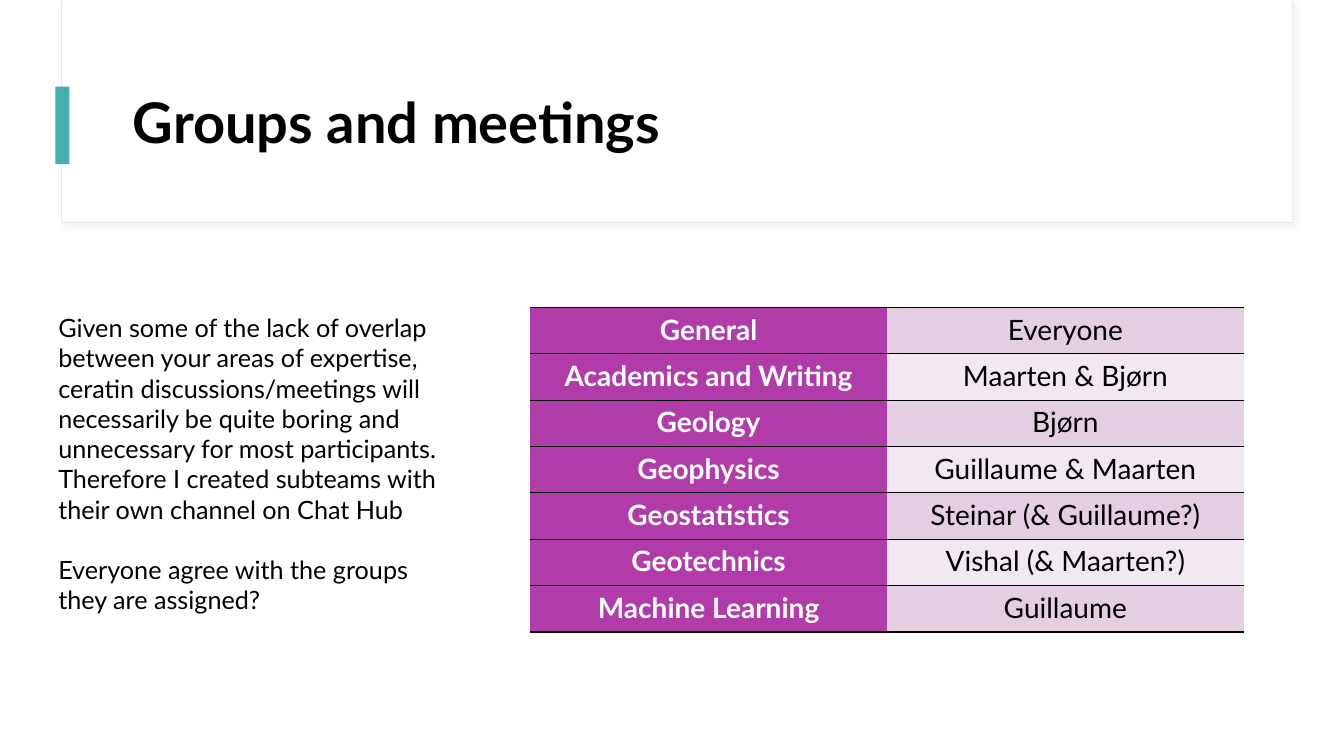
"""Build the slide on groups and meetings."""

from dataclasses import dataclass

import lxml.etree
import pptx
import pptx.dml.color
import pptx.enum.shapes
import pptx.enum.text
import pptx.oxml
import pptx.oxml.ns
import pptx.shapes.autoshape
import pptx.slide
import pptx.table
import pptx.text.text
import pptx.util

FONT = "Lato"
COLOURS = {
    "white": "FFFFFF",
    "black": "000000",
    "outline": "E3E7EF",
    "shadow": "D9D9D9",
    "teal": "45AFAE",
    "purple": "B13BA9",
    "band_dark": "E4CEE2",
    "band_light": "F2E8F1",
}
ROW_HEIGHT = 33.12
COLUMN_WIDTH = 254.88
BODY_SIZE = 18


@dataclass(frozen=True)
class Frame:
    left: float
    top: float
    width: float
    height: float

    def lengths(self) -> tuple[pptx.util.Length, ...]:
        return tuple(
            pptx.util.Pt(value)
            for value in (self.left, self.top, self.width, self.height)
        )


@dataclass(frozen=True)
class Panel:
    frame: Frame
    fill: str
    line: str | None = None
    shadow: bool = False


@dataclass(frozen=True)
class TextStyle:
    size: float
    bold: bool = False
    colour: str = "black"


@dataclass(frozen=True)
class Group:
    topic: str
    members: str


PANELS = [
    Panel(Frame(43.92, 0, 879.12, 159.12), "white", "outline", True),
    Panel(Frame(44.64, 0, 878.4, 158.4), "white"),
    Panel(Frame(39.6, 61.92, 10.08, 55.44), "teal"),
]
TITLE_FRAME = Frame(87.84, 43.2, 800.64, 92.88)
TABLE_FRAME = Frame(378.72, 219.6, 2 * COLUMN_WIDTH, 7 * ROW_HEIGHT)
BODY_FRAME = Frame(34.56, 219.6, 302.4, 246.96)

GROUPS = [
    Group("General", "Everyone"),
    Group("Academics and Writing", "Maarten & Bjørn"),
    Group("Geology", "Bjørn"),
    Group("Geophysics", "Guillaume & Maarten"),
    Group("Geostatistics", "Steinar (& Guillaume?)"),
    Group("Geotechnics", "Vishal (& Maarten?)"),
    Group("Machine Learning", "Guillaume"),
]
BODY = [
    "Given some of the lack of overlap between your areas of expertise, "
    "ceratin discussions/meetings will necessarily be quite boring and "
    "unnecessary for most participants. Therefore I created subteams with "
    "their own channel on Chat Hub",
    "Everyone agree with the groups they are assigned?",
]


def rgb(name: str) -> pptx.dml.color.RGBColor:
    return pptx.dml.color.RGBColor.from_string(COLOURS[name])


def add_shadow(shape: pptx.shapes.autoshape.Shape) -> None:
    effects = shape.element.spPr.find(pptx.oxml.ns.qn("a:effectLst"))
    effects.append(pptx.oxml.parse_xml(
        f'<a:outerShdw {pptx.oxml.ns.nsdecls("a")} blurRad="{pptx.util.Pt(4)}" '
        f'dist="{pptx.util.Pt(3)}" dir="2700000" algn="tl" rotWithShape="0">'
        f'<a:srgbClr val="{COLOURS["shadow"]}"><a:alpha val="30000"/></a:srgbClr>'
        "</a:outerShdw>"
    ))


def add_panel(page: pptx.slide.Slide, panel: Panel) -> None:
    shape = page.shapes.add_shape(
        pptx.enum.shapes.MSO_SHAPE.RECTANGLE, *panel.frame.lengths()
    )
    shape.fill.solid()
    shape.fill.fore_color.rgb = rgb(panel.fill)
    if panel.line:
        shape.line.color.rgb = rgb(panel.line)
        shape.line.width = pptx.util.Pt(0.75)
    else:
        shape.line.fill.background()
    shape.shadow.inherit = False
    if panel.shadow:
        add_shadow(shape)


def write(para: pptx.text.text._Paragraph, text: str, style: TextStyle) -> None:
    para.text = text
    para.font.name = FONT
    para.font.size = pptx.util.Pt(style.size)
    para.font.bold = style.bold
    para.font.color.rgb = rgb(style.colour)


def add_text(
    page: pptx.slide.Slide, frame: Frame, texts: list[str], style: TextStyle
) -> pptx.text.text.TextFrame:
    text_frame = page.shapes.add_textbox(*frame.lengths()).text_frame
    text_frame.word_wrap = True
    for index, text in enumerate(texts):
        para = text_frame.add_paragraph() if index else text_frame.paragraphs[0]
        write(para, text, style)
    return text_frame


def set_borders(cell: pptx.table._Cell) -> None:
    properties = cell._tc.get_or_add_tcPr()
    for side in "LRTB":
        line = lxml.etree.SubElement(properties, pptx.oxml.ns.qn(f"a:ln{side}"))
        if side in "LR":
            line.set("w", "0")
            lxml.etree.SubElement(line, pptx.oxml.ns.qn("a:noFill"))
        else:
            line.set("w", str(pptx.util.Pt(1)))
            fill = lxml.etree.SubElement(line, pptx.oxml.ns.qn("a:solidFill"))
            colour = lxml.etree.SubElement(fill, pptx.oxml.ns.qn("a:srgbClr"))
            colour.set("val", COLOURS["black"])


def fill_cell(
    cell: pptx.table._Cell, text: str, fill: str, style: TextStyle
) -> None:
    set_borders(cell)
    cell.fill.solid()
    cell.fill.fore_color.rgb = rgb(fill)
    para = cell.text_frame.paragraphs[0]
    write(para, text, style)
    para.alignment = pptx.enum.text.PP_ALIGN.CENTER


def add_groups_table(page: pptx.slide.Slide) -> None:
    table = page.shapes.add_table(
        len(GROUPS), 2, *TABLE_FRAME.lengths()
    ).table
    for column in table.columns:
        column.width = pptx.util.Pt(COLUMN_WIDTH)
    for index, group in enumerate(GROUPS):
        table.rows[index].height = pptx.util.Pt(ROW_HEIGHT)
        band = "band_light" if index % 2 else "band_dark"
        fill_cell(table.cell(index, 0), group.topic, "purple",
                  TextStyle(20, True, "white"))
        fill_cell(table.cell(index, 1), group.members, band, TextStyle(20))


def main() -> None:
    deck = pptx.Presentation()
    deck.slide_width = pptx.util.Pt(960)
    deck.slide_height = pptx.util.Pt(540)
    page = deck.slides.add_slide(deck.slide_layouts[6])

    for panel in PANELS:
        add_panel(page, panel)

    title = add_text(page, TITLE_FRAME, ["Groups and meetings"], TextStyle(40, True))
    title.vertical_anchor = pptx.enum.text.MSO_ANCHOR.MIDDLE
    title.paragraphs[0].line_spacing = 0.9

    add_groups_table(page)

    body = add_text(page, BODY_FRAME, BODY, TextStyle(BODY_SIZE))
    body.paragraphs[1].space_before = pptx.util.Pt(1.2 * BODY_SIZE)

    deck.save("out.pptx")


if __name__ == "__main__":
    main()
